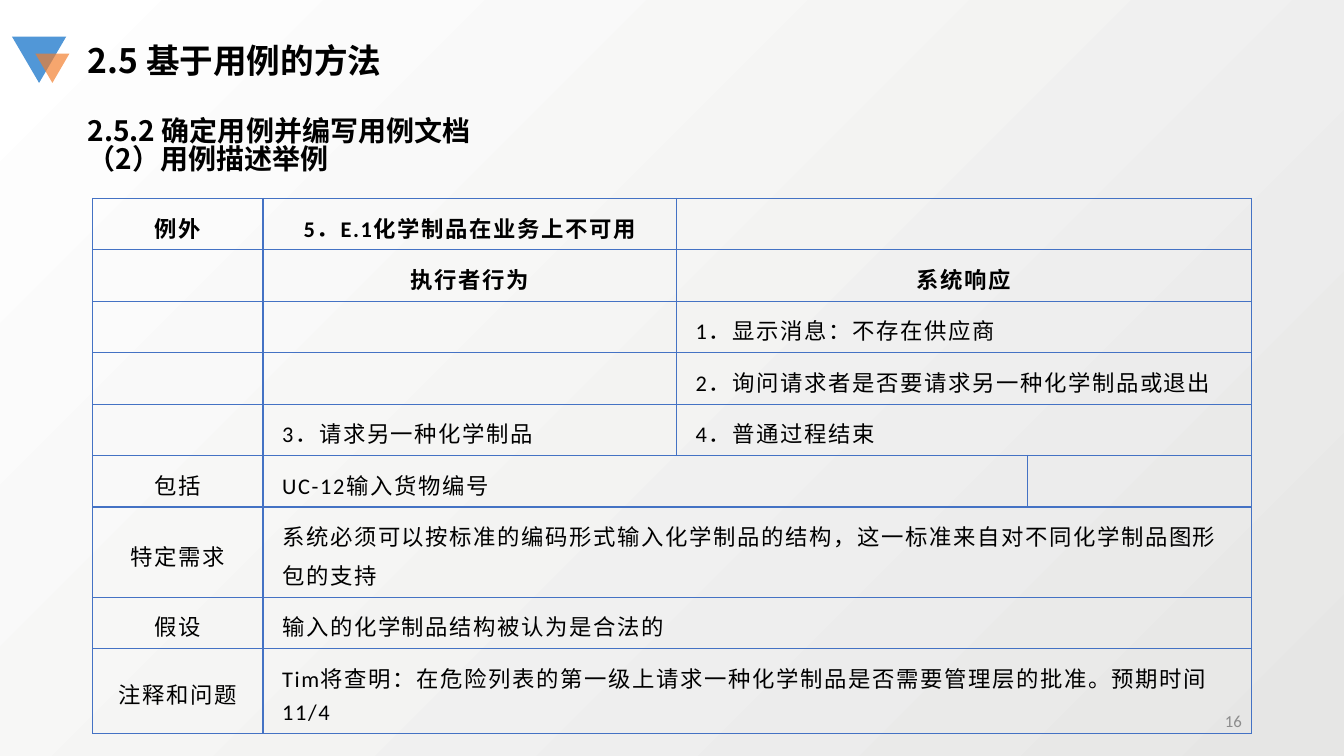
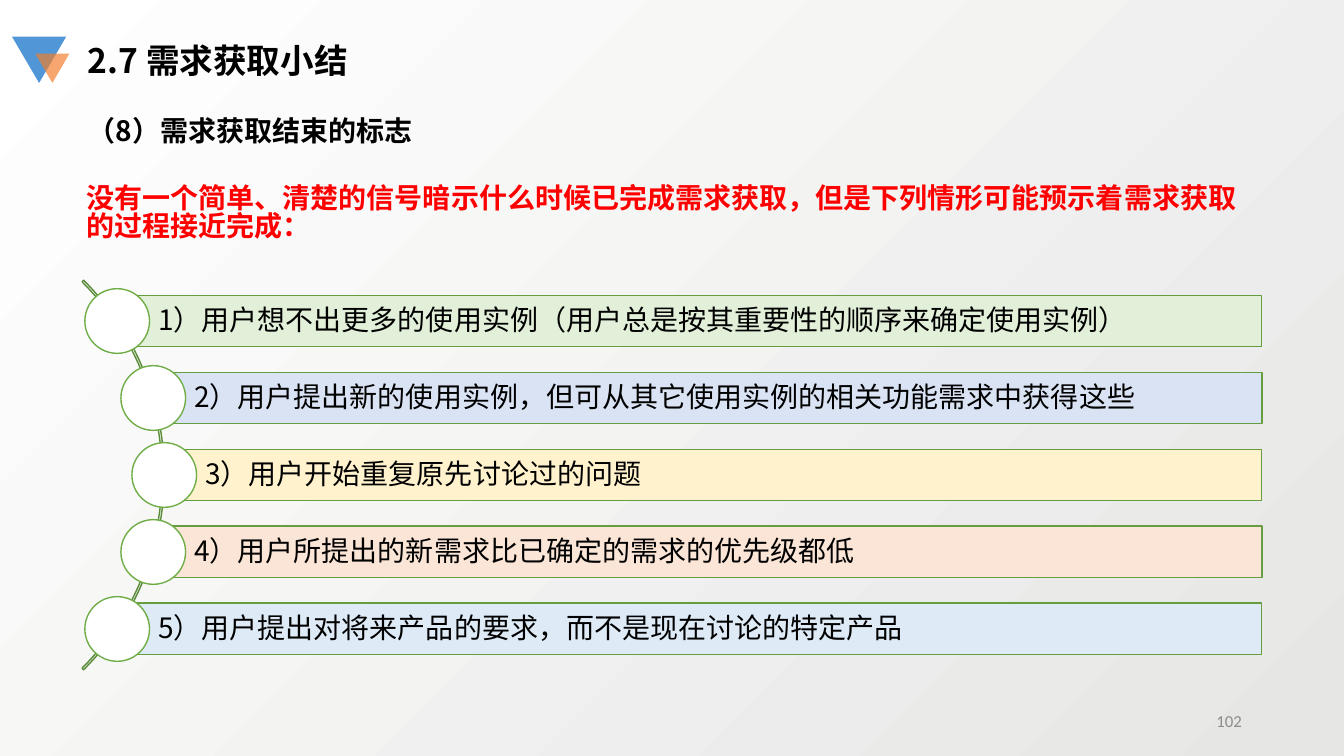
from math import sqrt

from lxml import etree
from pptx import Presentation
from pptx.dml.color import RGBColor
from pptx.enum import shapes, text
from pptx.oxml import ns
from pptx.util import Cm, Pt

# Shared look
BLACK = RGBColor(0x00, 0x00, 0x00)
WHITE = RGBColor(0xFF, 0xFF, 0xFF)
GREY = RGBColor(0x8C, 0x8C, 0x8C)
RED = RGBColor(0xFF, 0x00, 0x00)
BLUE = RGBColor(0x51, 0x97, 0xD7)
ORANGE = RGBColor(0xF3, 0x7D, 0x2A)
SHADE = RGBColor(0xE6, 0xE6, 0xE5)
GRID = RGBColor(0x44, 0x72, 0xC4)
ARC = RGBColor(0x5A, 0x8B, 0x39)
EDGE = RGBColor(0x66, 0x9D, 0x40)
RING = RGBColor(0x70, 0xAD, 0x47)
SANS = "Noto Sans CJK SC"
LATIN = "Calibri"
KIND = shapes.MSO_SHAPE
LEFT, MID, RIGHT = text.PP_ALIGN.LEFT, text.PP_ALIGN.CENTER, text.PP_ALIGN.RIGHT
TIGHT = 0.84

# Use case table: row height, bold, cells as (text, columns covered)
COLS = (4.29, 10.42, 8.84, 5.65)
ROWS = (
    (1.29, True, (("例外", 1), ("5．E.1化学制品在业务上不可用", 1), ("", 2))),
    (1.29, True, (("", 1), ("执行者行为", 1), ("系统响应", 2))),
    (1.29, False, (("", 1), ("", 1), ("1．显示消息：不存在供应商", 2))),
    (1.29, False, (("", 1), ("", 1),
                   ("2．询问请求者是否要请求另一种化学制品或退出", 2))),
    (1.29, False, (("", 1), ("3．请求另一种化学制品", 1), ("4．普通过程结束", 2))),
    (1.29, False, (("包括", 1), ("UC-12输入货物编号", 2), ("", 1))),
    (2.27, False, (("特定需求", 1),
                   ("系统必须可以按标准的编码形式输入化学制品的结构，"
                    "这一标准来自对不同化学制品图形包的支持", 3))),
    (1.29, False, (("假设", 1), ("输入的化学制品结构被认为是合法的", 3))),
    (2.13, False, (("注释和问题", 1),
                   ("Tim将查明：在危险列表的第一级上请求一种化学制品"
                    "是否需要管理层的批准。预期时间11/4", 3))),
)

# Signs that elicitation is done
SIGNS = (
    ("1）用户想不出更多的使用实例（用户总是按其重要性的顺序来确定使用实例）", "E2F0D9"),
    ("2）用户提出新的使用实例，但可从其它使用实例的相关功能需求中获得这些", "DAE3F3"),
    ("3）用户开始重复原先讨论过的问题", "FFF2CC"),
    ("4）用户所提出的新需求比已确定的需求的优先级都低", "FBE5D6"),
    ("5）用户提出对将来产品的要求，而不是现在讨论的特定产品", "DEEBF7"),
)


def style(para, size, color=BLACK, bold=False, name=SANS, align=LEFT,
          space=None, track=None):
    """Format one paragraph, East Asian font included."""
    para.alignment = align
    para.line_spacing = space
    font = para.font
    font.size, font.bold, font.name = Pt(size), bold, name
    font.color.rgb = color
    props = para._p.pPr.find(ns.qn("a:defRPr"))
    etree.SubElement(props, ns.qn("a:ea"), typeface=SANS)
    if track:
        props.set("spc", str(track))


def write(frame, lines, size, anchor=text.MSO_ANCHOR.TOP, **look):
    """Fill a text frame, one paragraph a line."""
    frame.word_wrap = True
    frame.auto_size = text.MSO_AUTO_SIZE.NONE
    frame.vertical_anchor = anchor
    frame.text = "\n".join(lines)
    for para in frame.paragraphs:
        style(para, size, **look)


def label(slide, box, lines, size, **look):
    area = slide.shapes.add_textbox(*map(Cm, box))
    write(area.text_frame, lines, size, **look)


def draw(slide, kind, box, fill=None, line=None):
    """Add a flat preset shape."""
    shape = slide.shapes.add_shape(kind, *map(Cm, box))
    shape.shadow.inherit = False
    if fill is None:
        shape.fill.background()
    else:
        shape.fill.solid()
        shape.fill.fore_color.rgb = fill
    if line is None:
        shape.line.fill.background()
    else:
        shape.line.color.rgb = line
        shape.line.width = Pt(1)
    return shape


def paint(master):
    """Give all slides the diagonal backdrop."""
    fill = master.background.fill
    fill.gradient()
    fill.gradient_angle = 135
    for stop, color in zip(fill.gradient_stops, (SHADE, WHITE)):
        stop.color.rgb = color


def start(deck, title, number):
    """Add a slide with its title, triangles and page number."""
    slide = deck.slides.add_slide(deck.slide_layouts[5])
    big = draw(slide, KIND.ISOSCELES_TRIANGLE, (0.3, 0.92, 1.37, 1.17), BLUE)
    small = draw(slide, KIND.ISOSCELES_TRIANGLE, (0.89, 1.35, 0.86, 0.74), ORANGE)
    big.rotation = small.rotation = 180
    tone = small.fill._xPr.find(".//" + ns.qn("a:srgbClr"))
    etree.SubElement(tone, ns.qn("a:alpha"), val="68000")

    head = slide.shapes.title
    head.left, head.top, head.width, head.height = map(Cm, (1.96, 1.05, 25, 1.27))
    write(head.text_frame, [title], 24, bold=True, space=TIGHT)
    label(slide, (23.93, 17.65, 7.62, 1.01), [number], 12, color=GREY,
          name=LATIN, align=RIGHT, anchor=text.MSO_ANCHOR.MIDDLE)
    return slide


def frame(cell):
    """Draw the four cell borders and clear the fill."""
    props = cell._tc.get_or_add_tcPr()
    for side in ("lnL", "lnR", "lnT", "lnB"):
        line = etree.SubElement(props, ns.qn("a:" + side), w=str(Pt(1)))
        fill = etree.SubElement(line, ns.qn("a:solidFill"))
        etree.SubElement(fill, ns.qn("a:srgbClr"), val=str(GRID))
    cell.fill.background()


def grid(slide, left, top):
    """Build the use case table."""
    high = sum(row[0] for row in ROWS)
    table = slide.shapes.add_table(
        len(ROWS), len(COLS), *map(Cm, (left, top, sum(COLS), high))).table
    table.first_row = table.horz_banding = False
    for col, width in zip(table.columns, COLS):
        col.width = Cm(width)
    for cell in table.iter_cells():
        frame(cell)
    for row, (height, bold, cells) in enumerate(ROWS):
        table.rows[row].height = Cm(height)
        col = 0
        for words, span in cells:
            cell = table.cell(row, col)
            if span > 1:
                cell.merge(table.cell(row, col + span - 1))
            cell.margin_left = cell.margin_right = Cm(0.48)
            cell.margin_top = cell.margin_bottom = Cm(0.16)
            cell.vertical_anchor = text.MSO_ANCHOR.MIDDLE
            if words:
                cell.text = words
                style(cell.text_frame.paragraphs[0], 16, bold=bold, name=LATIN,
                      align=MID if bold or col == 0 else LEFT,
                      space=1.2, track=120)
            col += span


def curve(slide):
    """Set the bars along an arc, each with a circle at its left end."""
    hub, mid, radius = -2.8, 11.97, 6.94
    step, end, high, size = 1.94, 31.8, 1.3, 1.63
    arc = draw(slide, KIND.BLOCK_ARC,
               (hub - radius, mid - radius, 2 * radius, 2 * radius), line=ARC)
    for spot, value in enumerate((189, 27, 0.004)):
        arc.adjustments[spot] = value
    for spot, (words, tint) in enumerate(SIGNS):
        drop = (spot - len(SIGNS) // 2) * step
        left, centre = hub + sqrt(radius ** 2 - drop ** 2), mid + drop
        bar = draw(slide, KIND.RECTANGLE,
                   (left, centre - high / 2, end - left, high),
                   RGBColor.from_string(tint), EDGE)
        write(bar.text_frame, [words], 20, space=0.9,
              anchor=text.MSO_ANCHOR.MIDDLE)
        bar.text_frame.margin_left = Cm(1.03)
        draw(slide, KIND.OVAL,
             (left - size / 2, centre - size / 2, size, size), WHITE, RING)


def main():
    deck = Presentation()
    deck.slide_width, deck.slide_height = Cm(33.87), Cm(19.05)
    paint(deck.slide_master)

    # Use case description
    slide = start(deck, "2.5 基于用例的方法", "16")
    label(slide, (1.96, 2.87, 21.56, 1.96),
          ["2.5.2 确定用例并编写用例文档", "（2）用例描述举例"], 20,
          bold=True, space=TIGHT)
    grid(slide, 2.34, 5)

    # End of elicitation
    slide = start(deck, "2.7 需求获取小结", "102")
    curve(slide)
    label(slide, (1.96, 2.87, 21.56, 1.12), ["（8）需求获取结束的标志"], 20,
          bold=True, space=TIGHT)
    label(slide, (1.93, 4.5, 30, 1.8),
          ["没有一个简单、清楚的信号暗示什么时候已完成需求获取，"
           "但是下列情形可能预示着需求获取的过程接近完成："], 20,
          color=RED, bold=True, space=TIGHT, anchor=text.MSO_ANCHOR.MIDDLE)

    deck.save("out.pptx")


if __name__ == "__main__":
    main()
